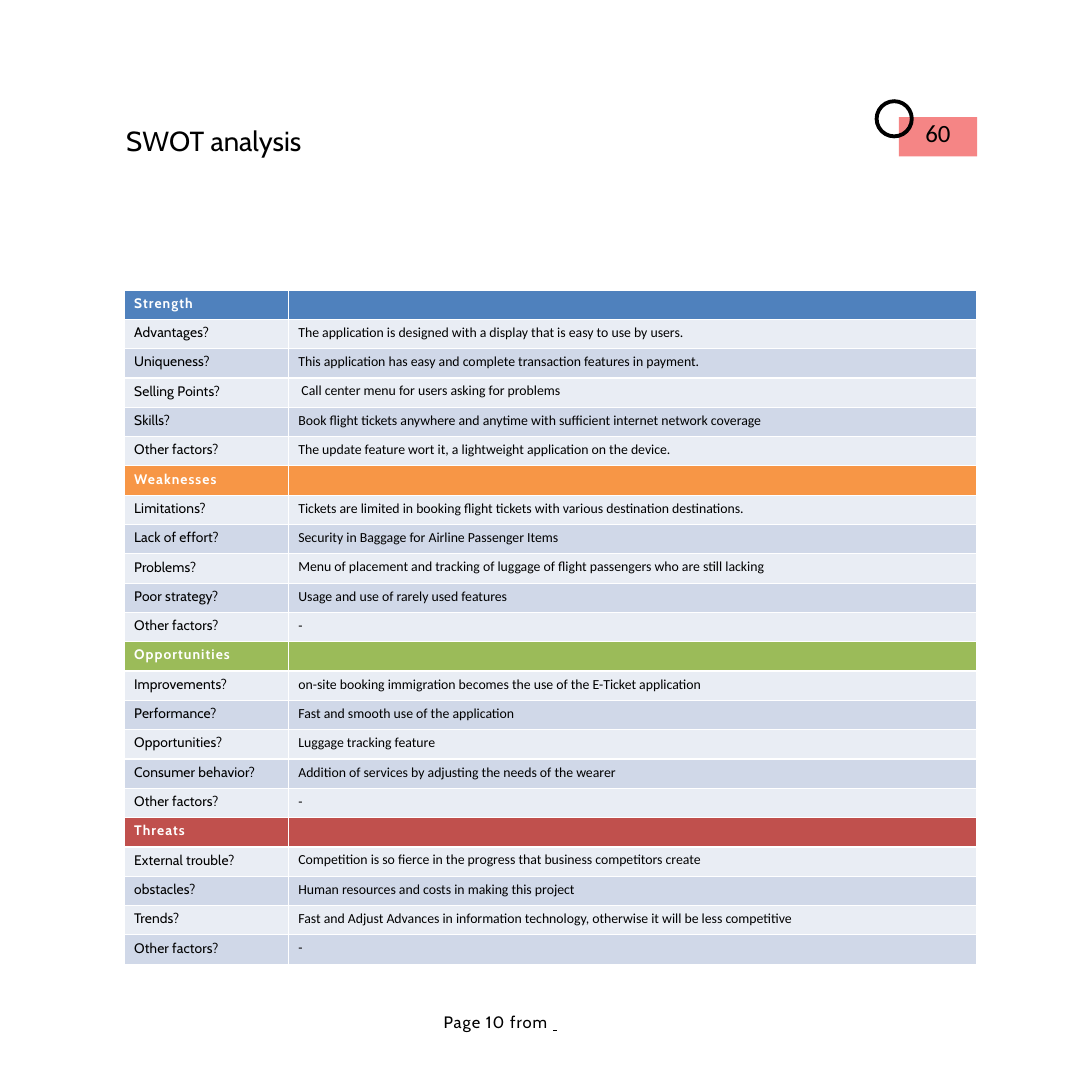
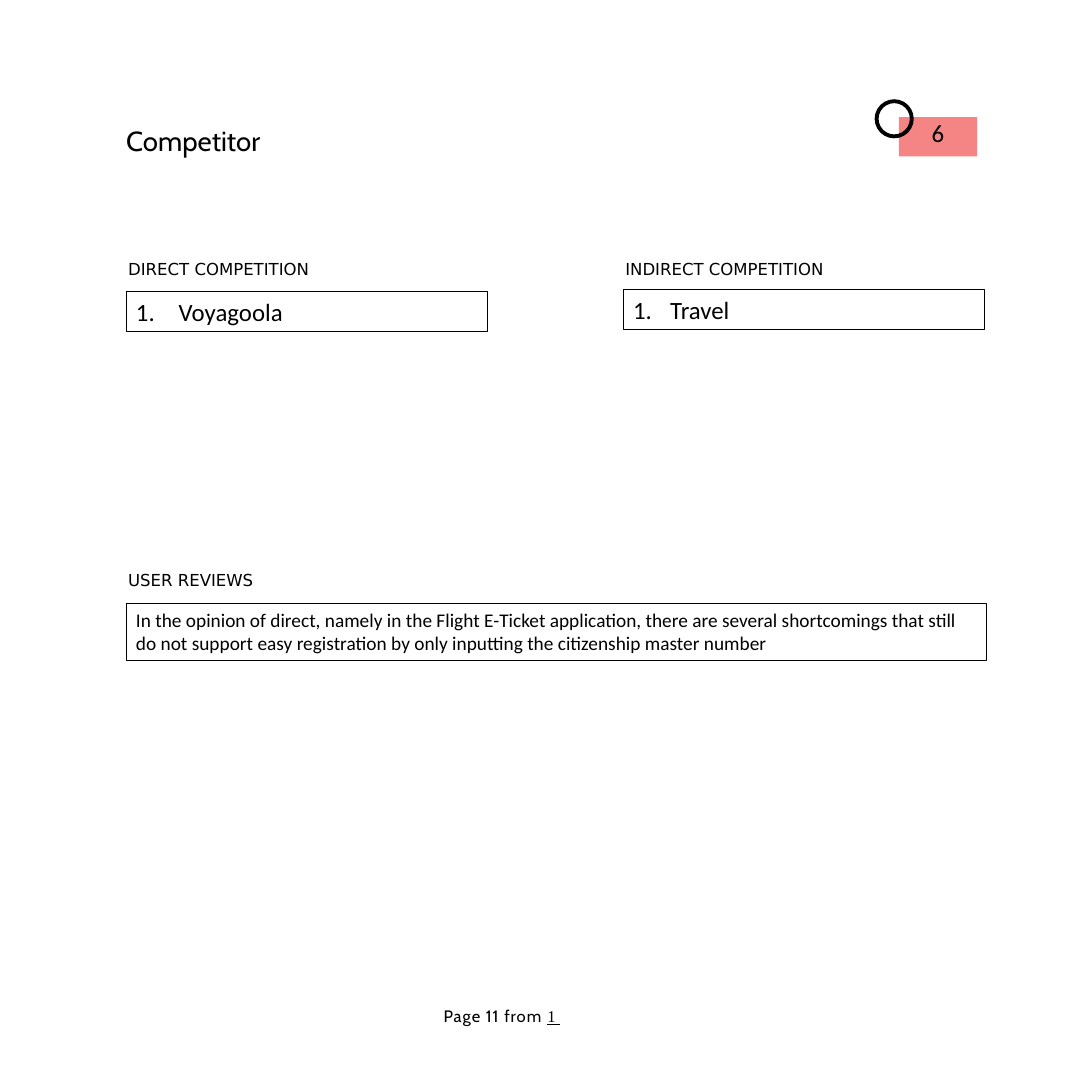
import pptx
import pptx.util
import pptx.dml.color
import pptx.enum.shapes
import pptx.enum.text
import pptx.oxml.ns
from lxml import etree

Cm, Pt = pptx.util.Cm, pptx.util.Pt
qn = pptx.oxml.ns.qn
MSO_SHAPE = pptx.enum.shapes.MSO_SHAPE
MSO_ANCHOR = pptx.enum.text.MSO_ANCHOR
MSO_AUTO_SIZE = pptx.enum.text.MSO_AUTO_SIZE
PP_ALIGN = pptx.enum.text.PP_ALIGN

HEADING_FONT, BODY_FONT = "Cabin", "Calibri"
LABEL_FONT, NUMBER_FONT = "DejaVu Sans", "Times New Roman"
BLACK, WHITE, BADGE = "000000", "FFFFFF", "F58585"
BANDS = ("E9EDF4", "D0D8E8")
LEFT, RIGHT_COLUMN = 3.23, 15.95

SWOT = [
    ("Strength", "4F81BD", [
        ("Advantages?", "The application is designed with a display that is easy to use by users."),
        ("Uniqueness?", "This application has easy and complete transaction features in payment."),
        ("Selling Points?", " Call center menu for users asking for problems"),
        ("Skills?", "Book flight tickets anywhere and anytime with sufficient internet network coverage"),
        ("Other factors?", "The update feature wort it, a lightweight application on the device."),
    ]),
    ("Weaknesses", "F79646", [
        ("Limitations?", "Tickets are limited in booking flight tickets with various destination destinations."),
        ("Lack of effort?", "Security in Baggage for Airline Passenger Items"),
        ("Problems?", "Menu of placement and tracking of luggage of flight passengers who are still lacking"),
        ("Poor strategy?", "Usage and use of rarely used features"),
        ("Other factors?", "-"),
    ]),
    ("Opportunities", "9BBB59", [
        ("Improvements?", "on-site booking immigration becomes the use of the E-Ticket application"),
        ("Performance?", "Fast and smooth use of the application"),
        ("Opportunities?", "Luggage tracking feature"),
        ("Consumer behavior?", "Addition of services by adjusting the needs of the wearer"),
        ("Other factors?", "-"),
    ]),
    ("Threats", "C0504D", [
        ("External trouble?", "Competition is so fierce in the progress that business competitors create"),
        ("obstacles?", "Human resources and costs in making this project"),
        ("Trends?", "Fast and Adjust Advances in information technology, otherwise it will be less competitive"),
        ("Other factors?", "-"),
    ]),
]
TABLE_LEFT, TABLE_TOP, ROW_HEIGHT = 3.18, 7.42, 0.75
COLUMN_WIDTHS = (4.2, 17.6)

# label, label top, text, size, numbered, (left, top, width, height) of the frame
COMPETITOR_PANELS = [
    ("DIRECT COMPETITION", 6.58, " Voyagoola", 18, True, (LEFT, 7.47, 9.25, 1.02)),
    ("INDIRECT COMPETITION", 6.58, "Travel", 18, True, (RIGHT_COLUMN, 7.42, 9.25, 1.02)),
    ("USER REVIEWS", 14.53,
     "In the opinion of direct, namely in the Flight E-Ticket application, there are several "
     "shortcomings that still do not support easy registration by only inputting the "
     "citizenship master number", 14, False, (LEFT, 15.44, 22.02, 1.45)),
]


def rgb(value):
    return pptx.dml.color.RGBColor.from_string(value)


def style_run(run, size, font, color=BLACK, bold=False, spacing=0):
    run.font.size, run.font.name, run.font.bold = Pt(size), font, bold
    run.font.color.rgb = rgb(color)
    if spacing:
        run.font._element.set("spc", str(round(spacing * 100)))


def write(frame, text, *style, **options):
    frame.text = text
    style_run(frame.paragraphs[0].runs[0], *style, **options)


def bare_frame(shape, inset_top=0.0):
    """Wrapped text from the top left corner, without insets."""
    frame = shape.text_frame
    frame.word_wrap = True
    frame.vertical_anchor = MSO_ANCHOR.TOP
    frame.margin_left = frame.margin_right = frame.margin_bottom = 0
    frame.margin_top = Cm(inset_top)
    return frame


def text_box(slide, left, top, width, height, inset_top=0.0):
    box = slide.shapes.add_textbox(Cm(left), Cm(top), Cm(width), Cm(height))
    return bare_frame(box, inset_top)


def paint(shape, fill):
    shape.shadow.inherit = False
    shape.fill.solid()
    shape.fill.fore_color.rgb = rgb(fill)
    shape.line.fill.background()


def add_badge(slide, number):
    corners = [(22.88, 3.1), (25.14, 3.05), (25.2, 3.1), (25.2, 3.96),
               (25.14, 4.02), (22.94, 4.02), (22.88, 3.96)]
    outline = slide.shapes.build_freeform(*corners[0], scale=Cm(1))
    outline.add_line_segments(corners[1:])
    badge = outline.convert_to_shape()
    paint(badge, BADGE)
    frame = bare_frame(badge)
    write(frame, number, 18, BODY_FONT)
    frame.paragraphs[0].alignment = PP_ALIGN.CENTER

    ring = slide.shapes.add_shape(MSO_SHAPE.DONUT, Cm(22.38), Cm(2.54), Cm(1), Cm(1))
    ring.adjustments[0] = 0.1
    paint(ring, BLACK)


def add_page_footer(slide, page, total, top):
    paragraph = text_box(slide, 11.35, top, 3.58, 0.51).paragraphs[0]
    paragraph.line_spacing = Pt(14.1)
    tabs = etree.SubElement(paragraph._p.get_or_add_pPr(), qn("a:tabLst"))
    etree.SubElement(tabs, qn("a:tab"), pos=str(Cm(3.43)), algn="l")
    page_run, total_run = paragraph.add_run(), paragraph.add_run()
    page_run.text = f"Page {page} from "
    style_run(page_run, 12, HEADING_FONT, spacing=0.7)
    total_run.text = f"{total} \t"
    style_run(total_run, 12, NUMBER_FONT)
    total_run.font.underline = True


def new_slide(deck, title, badge_number, page, total, footer_top):
    slide = deck.slides.add_slide(deck.slide_layouts[5])
    heading = slide.shapes.title
    heading.left, heading.top = Cm(LEFT), Cm(3.12)
    heading.width, heading.height = Cm(15.5), Cm(0.9)
    frame = bare_frame(heading, 0.05)
    frame.auto_size = MSO_AUTO_SIZE.NONE
    write(frame, title, 20, HEADING_FONT)
    frame.paragraphs[0].alignment = PP_ALIGN.LEFT
    add_badge(slide, badge_number)
    add_page_footer(slide, page, total, footer_top)
    return slide


def format_cell(cell, fill):
    properties = cell._tc.get_or_add_tcPr()
    for side in ("a:lnL", "a:lnR", "a:lnT", "a:lnB"):
        border = etree.SubElement(properties, qn(side), w=str(Pt(1)))
        solid = etree.SubElement(border, qn("a:solidFill"))
        etree.SubElement(solid, qn("a:srgbClr"), val=WHITE)
    cell.fill.solid()
    cell.fill.fore_color.rgb = rgb(fill)


def add_swot_table(slide):
    row_count = sum(1 + len(answers) for _, _, answers in SWOT)
    table = slide.shapes.add_table(
        row_count, 2, Cm(TABLE_LEFT), Cm(TABLE_TOP),
        Cm(sum(COLUMN_WIDTHS)), Cm(ROW_HEIGHT * row_count)).table
    table.first_row = table.horz_banding = False
    for column, width in zip(table.columns, COLUMN_WIDTHS):
        column.width = Cm(width)
    for row in table.rows:
        row.height = Cm(ROW_HEIGHT)

    rows = iter(table.rows)
    for heading, color, answers in SWOT:
        heading_cell, empty_cell = next(rows).cells
        write(heading_cell.text_frame, heading, 10, HEADING_FONT, WHITE, bold=True, spacing=0.8)
        # an empty cell needs a small font size too, or its row grows
        etree.SubElement(empty_cell.text_frame.paragraphs[0]._p, qn("a:endParaRPr"), sz="1000")
        format_cell(heading_cell, color)
        format_cell(empty_cell, color)
        for index, (question, answer) in enumerate(answers):
            question_cell, answer_cell = next(rows).cells
            write(question_cell.text_frame, question, 10, HEADING_FONT, spacing=0.1)
            write(answer_cell.text_frame, answer, 10, BODY_FONT)
            for cell in (question_cell, answer_cell):
                format_cell(cell, BANDS[index % 2])


def add_panel(slide, label, label_top, text, size, numbered, place):
    label_frame = text_box(slide, place[0] + 0.05, label_top, 5.6, 0.56, inset_top=0.05)
    write(label_frame, label, 12, LABEL_FONT)

    panel = slide.shapes.add_shape(MSO_SHAPE.RECTANGLE, *map(Cm, place))
    panel.shadow.inherit = False
    panel.fill.background()
    panel.line.color.rgb = rgb(BLACK)
    panel.line.width = Pt(0.75)
    frame = panel.text_frame
    frame.word_wrap = True
    frame.vertical_anchor = MSO_ANCHOR.TOP
    write(frame, text, size, BODY_FONT)
    paragraph = frame.paragraphs[0]
    paragraph.alignment = PP_ALIGN.LEFT
    if numbered:
        properties = paragraph._p.get_or_add_pPr()
        properties.set("marL", str(Cm(0.95)))
        properties.set("indent", str(Cm(-0.95)))
        etree.SubElement(properties, qn("a:buFont"), typeface="+mj-lt")
        etree.SubElement(properties, qn("a:buAutoNum"), type="arabicPeriod")


def main():
    deck = pptx.Presentation()
    deck.slide_width = deck.slide_height = Cm(27.94)

    add_swot_table(new_slide(deck, "SWOT analysis", "60", 10, "", 25.91))

    competitor = new_slide(deck, "Competitor", "6", 11, "1", 25.76)
    for panel in COMPETITOR_PANELS:
        add_panel(competitor, *panel)

    deck.save("out.pptx")


if __name__ == "__main__":
    main()
